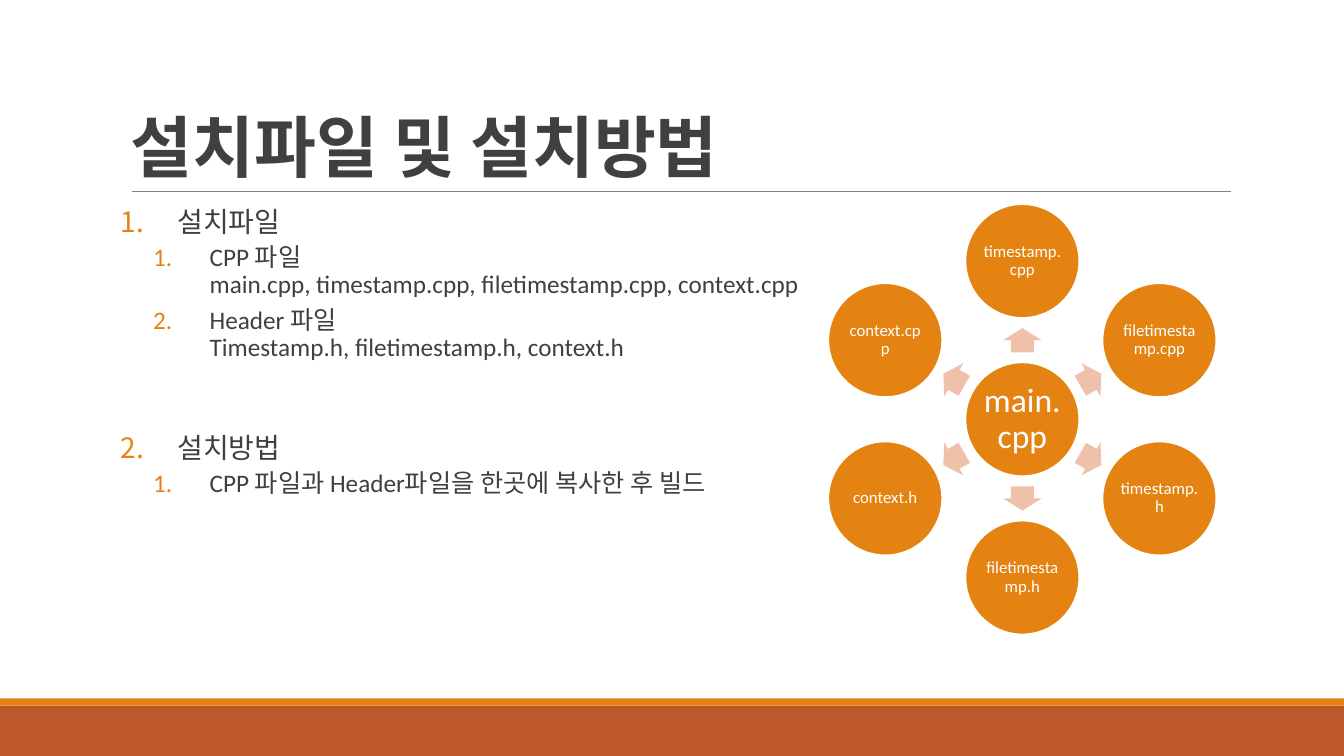
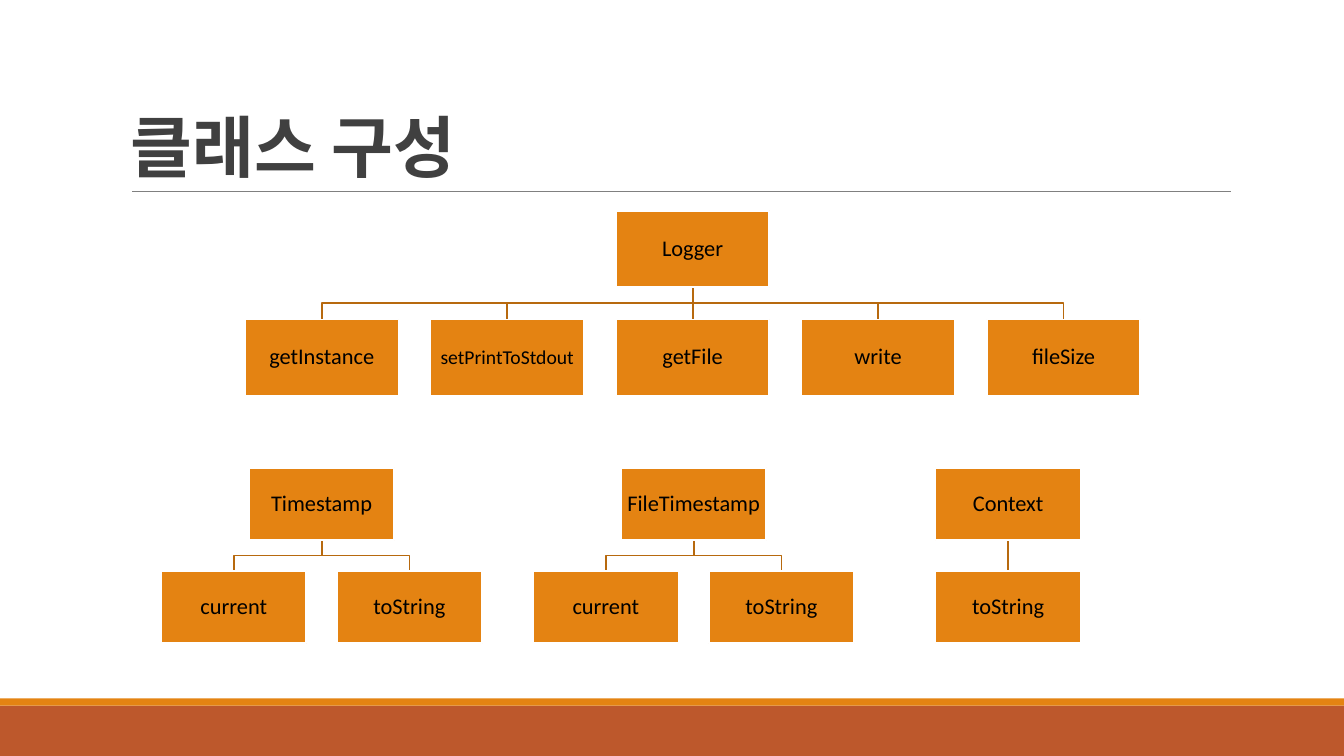
from math import cos, radians, sin

from lxml import etree
from pptx import Presentation
from pptx.dml.color import RGBColor
from pptx.enum.shapes import MSO_CONNECTOR, MSO_SHAPE
from pptx.enum.text import MSO_ANCHOR, PP_ALIGN
from pptx.oxml.ns import qn
from pptx.util import Inches, Pt

RECT, OVAL, ARROW = MSO_SHAPE.RECTANGLE, MSO_SHAPE.OVAL, MSO_SHAPE.RIGHT_ARROW
STRAIGHT = MSO_CONNECTOR.STRAIGHT
CENTER, MIDDLE, BOTTOM = PP_ALIGN.CENTER, MSO_ANCHOR.MIDDLE, MSO_ANCHOR.BOTTOM
FONT = "Calibri"
ORANGE, RUST, PEACH, BROWN = "E48312", "BD582C", "EFC1AB", "B7690E"
INK, GRAY, WHITE, BLACK = "404040", "808080", "FFFFFF", "000000"
W, H = 13.33, 7.5
LEFT, CONTENT_W = 1.2, 11
RULE_Y = 1.9
hex_color = RGBColor.from_string


def write(p, text, size, color, spacing=0.9):
    """Add one run per line of text, with line breaks between them."""
    p.line_spacing = spacing
    for i, line in enumerate(text.split("\n")):
        if i:
            p.add_line_break()
        r = p.add_run()
        r.text = line
        r.font.name, r.font.size = FONT, Pt(size)
        r.font.color.rgb = hex_color(color)
    return r


def add_block(s, kind, cx, top, w, h, fill, text="", size=16, color=BLACK):
    """Add a filled shape centred on cx; one with text gets a white outline."""
    sp = s.shapes.add_shape(kind, Inches(cx - w / 2), Inches(top), Inches(w), Inches(h))
    sp.shadow.inherit = False
    sp.fill.solid()
    sp.fill.fore_color.rgb = hex_color(fill)
    if not text:
        sp.line.fill.background()
        return sp
    sp.line.color.rgb = hex_color(WHITE)
    sp.line.width = Pt(1.25)
    tf = sp.text_frame
    tf.word_wrap, tf.vertical_anchor = True, MIDDLE
    tf.margin_left = tf.margin_right = tf.margin_top = tf.margin_bottom = Inches(0.01)
    p = tf.paragraphs[0]
    p.alignment = CENTER
    write(p, text, size, color)
    return sp


prs = Presentation()
prs.slide_width, prs.slide_height = Inches(W), Inches(H)
blank = prs.slide_layouts[6]

# Titles
slides = []
for title in ("설치파일 및 설치방법", "클래스 구성"):
    s = prs.slides.add_slide(blank)
    slides.append(s)
    tf = s.shapes.add_textbox(Inches(LEFT), Inches(0.31), Inches(CONTENT_W),
                              Inches(RULE_Y - 0.31)).text_frame
    tf.word_wrap, tf.vertical_anchor = True, BOTTOM
    r = write(tf.paragraphs[0], title, 48, INK, 0.85)
    r.font.bold = True
    r.font.element.set("spc", "-50") if hasattr(r.font, "element") else None
install, classes = slides

# Bands and title rule, moved to the layout that both slides share
rule = install.shapes.add_connector(STRAIGHT, Inches(1.31), Inches(RULE_Y),
                                    Inches(12.21), Inches(RULE_Y))
rule.line.color.rgb = hex_color(GRAY)
rule.line.width = Pt(0.5)
etree.SubElement(rule.element.spPr, qn("a:effectLst"))
for part in (add_block(install, RECT, W / 2, 7, W, 0.5, RUST),
             add_block(install, RECT, W / 2, 6.93, W, 0.07, ORANGE), rule):
    blank.shapes.element.append(part.element)

# Numbered list: level, space before, text
STEPS = [
    (0, 12, "설치파일"),
    (1, 2, "CPP 파일\nmain.cpp, timestamp.cpp, filetimestamp.cpp, context.cpp"),
    (1, 2, "Header 파일\nTimestamp.h, filetimestamp.h, context.h"),
    (0, 48, "설치방법"),
    (1, 2, "CPP 파일과 Header파일을 한곳에 복사한 후 빌드"),
]
tf = install.shapes.add_textbox(Inches(LEFT), Inches(2.02), Inches(CONTENT_W),
                                Inches(4.4)).text_frame
tf.word_wrap = True
tf.margin_left = tf.margin_right = 0
for i, (level, before, text) in enumerate(STEPS):
    p = tf.add_paragraph() if i else tf.paragraphs[0]
    p.level = level
    p.space_before, p.space_after = Pt(before), Pt((2, 4)[level])
    write(p, text, (20, 18)[level], INK)
    pPr = p._p.get_or_add_pPr()
    pPr.set("marL", str(Inches((0.56, 0.88)[level])))
    pPr.set("indent", str(Inches(-0.56)))
    etree.SubElement(etree.SubElement(pPr, qn("a:buClr")), qn("a:srgbClr"), val=ORANGE)
    etree.SubElement(pPr, qn("a:buFont"), typeface=FONT)
    etree.SubElement(pPr, qn("a:buAutoNum"), type="arabicPeriod")

# Hub with the files around it, clockwise from the top
HUB_X, HUB_Y, DISC, ORBIT = 10.14, 4.16, 1.13, 1.57
ARROW_W, ARROW_H = 0.24, 0.38
FILES = ["timestamp.cpp", "filetimestamp.cpp", "timestamp.h",
         "filetimestamp.h", "context.h", "context.cpp"]
add_block(install, OVAL, HUB_X, HUB_Y - DISC / 2, DISC, DISC, ORANGE, "main.cpp", 24, WHITE)
for i, name in enumerate(FILES):
    angle = i * 360 / len(FILES) - 90
    dx, dy = ORBIT * cos(radians(angle)), ORBIT * sin(radians(angle))
    arrow = add_block(install, ARROW, HUB_X + dx / 2, HUB_Y + dy / 2 - ARROW_H / 2,
                      ARROW_W, ARROW_H, PEACH)
    arrow.adjustments[0], arrow.adjustments[1] = 0.6, 0.5
    arrow.rotation = angle % 360
    add_block(install, OVAL, HUB_X + dx, HUB_Y + dy - DISC / 2, DISC, DISC,
              ORANGE, name, 12, WHITE)

# Class trees: class, methods, centre, top, box width
TREES = [
    ("Logger", ["getInstance", "setPrintToStdout", "getFile", "write", "fileSize"],
     6.87, 2.09, 1.52),
    ("Timestamp", ["current", "toString"], 3.19, 4.64, 1.44),
    ("FileTimestamp", ["current", "toString"], 6.88, 4.64, 1.44),
    ("Context", ["toString"], 10, 4.64, 1.44),
]
for name, methods, cx, top, w in TREES:
    h, pitch = w / 2, 1.21 * w
    start, end = top + h, top + 0.71 * w
    mid = (start + end) / 2
    columns = [cx + (i - (len(methods) - 1) / 2) * pitch for i in range(len(methods))]
    for x in columns:
        if x == cx:
            link = classes.shapes.add_connector(STRAIGHT, Inches(cx), Inches(start),
                                                Inches(cx), Inches(end))
            etree.SubElement(link.element.spPr, qn("a:effectLst"))
        else:
            elbow = classes.shapes.build_freeform(Inches(cx), Inches(start))
            elbow.add_line_segments([(Inches(px), Inches(py)) for px, py in
                                     ((cx, mid), (x, mid), (x, end))], close=False)
            link = elbow.convert_to_shape()
            link.fill.background()
            link.shadow.inherit = False
        link.line.color.rgb = hex_color(BROWN)
        link.line.width = Pt(1.25)
    add_block(classes, RECT, cx, top, w, h, ORANGE, name)
    for x, method in zip(columns, methods):
        size = 14 if len(method) > 13 else 16
        add_block(classes, RECT, x, end, w, h, ORANGE, method, size)

prs.save("out.pptx")
